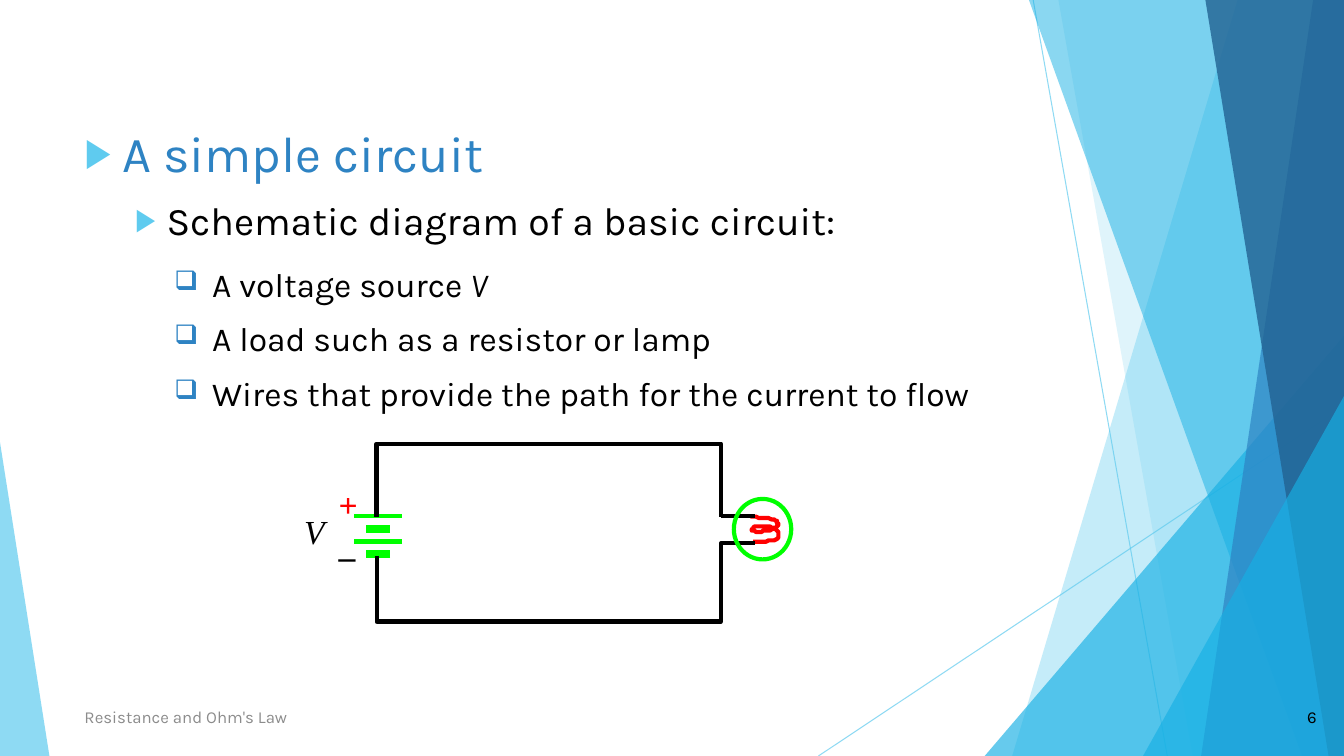
from lxml.etree import SubElement
from pptx import Presentation
from pptx.dml.color import RGBColor
from pptx.enum.shapes import MSO_CONNECTOR, MSO_SHAPE
from pptx.enum.text import MSO_ANCHOR, MSO_AUTO_SIZE, PP_ALIGN
from pptx.oxml.ns import qn
from pptx.util import Pt

COLORS = {
    "sky": "5FCBEF", "cyan": "17B0E4", "blue": "2E83C3", "navy": "226292",
    "black": "000000", "green": "00FF00", "red": "FF0000", "gray": "8C8C8C",
}


def paint(shape, fill=None, line=None, width=3, opacity=100):
    if line:
        shape.line.color.rgb = RGBColor.from_string(COLORS[line])
        shape.line.width = Pt(width)
    else:
        shape.line.fill.background()
    if fill:
        shape.fill.solid()
        shape.fill.fore_color.rgb = RGBColor.from_string(COLORS[fill])
    elif hasattr(shape, "fill"):
        shape.fill.background()
    properties = shape._element.spPr
    if opacity < 100:
        for color in properties.findall(".//" + qn("a:srgbClr")):
            SubElement(color, qn("a:alpha"), val=str(opacity * 1000))
    SubElement(properties, qn("a:effectLst"))


def write_text(para, text, size=24, color="black", font="Karla", bold=False, italic=False):
    span = para.add_run()
    span.text = text
    span.font.name = font
    span.font.size = Pt(size)
    span.font.bold = bold
    span.font.italic = italic
    span.font.color.rgb = RGBColor.from_string(COLORS[color])


deck = Presentation()
deck.slide_width, deck.slide_height = Pt(960), Pt(540)
page = deck.slides.add_slide(deck.slide_layouts[1])
shapes = page.shapes
title = shapes.title._element
title.getparent().remove(title)
body = page.placeholders[1]

for x1, y1, x2, y2 in [(738, 0, 833.8, 540), (960, 290.2, 584.6, 540)]:
    ray = shapes.add_connector(MSO_CONNECTOR.STRAIGHT, Pt(x1), Pt(y1), Pt(x2), Pt(y2))
    paint(ray, line="sky", width=0.75, opacity=70)

facets = [
    ("band", (884.2, 722.9), "sky", 36),
    ("band", (756, 851.8), "sky", 20),
    ("triangle", (703.4, 239.8, 256.6, 300.2, 1), "cyan", 66),
    ("band", (735.1, 929.5), "cyan", 50),
    ("band", (938.2, 858.2), "blue", 70),
    ("band", (861.1, 949), "navy", 80),
    ("triangle", (816.5, 283, 143.5, 257, 1), "cyan", 66),
    ("triangle", (0, 316, 35.3, 224, 0), "sky", 70),
]
for kind, place, color, opacity in facets:
    if kind == "band":
        top_x, bottom_x = place
        builder = shapes.build_freeform(top_x, 0, scale=Pt(1))
        builder.add_line_segments([(960, 0), (960, 540), (bottom_x, 540)])
        facet = builder.convert_to_shape()
    else:
        facet = shapes.add_shape(MSO_SHAPE.ISOSCELES_TRIANGLE, *[Pt(n) for n in place[:4]])
        facet.adjustments[0] = place[4]
    paint(facet, fill=color, opacity=opacity)

shapes._spTree.append(body._element)
body.left, body.top, body.width, body.height = Pt(53.3), Pt(83.5), Pt(794), Pt(95)
parts = shapes.add_textbox(Pt(117.4), Pt(185), Pt(674), Pt(142))
bullets = [
    (body, 0, "▶", "sky", 27, 27, 36, "blue", ["A simple circuit"]),
    (body, 1, "▶", "sky", 58.5, 22.5, 28, "black", ["Schematic diagram of a basic circuit:"]),
    (parts, 0, "❑", "blue", 27, 27, 24, "black", ["A voltage source ", "V"]),
    (parts, 0, "❑", "blue", 27, 27, 24, "black", ["A load such as a resistor or lamp"]),
    (parts, 0, "❑", "blue", 27, 27, 24, "black",
     ["Wires that provide the path for the current to flow"]),
]
for box, level, mark, mark_color, margin, hang, size, color, texts in bullets:
    frame = box.text_frame
    frame.word_wrap = True
    frame.auto_size = MSO_AUTO_SIZE.NONE
    frame.vertical_anchor = MSO_ANCHOR.TOP
    first = not frame.text
    para = frame.paragraphs[0] if first else frame.add_paragraph()
    para.level = level
    para.space_before = Pt(0 if first else 10)
    properties = para._p.get_or_add_pPr()
    properties.set("marL", str(Pt(margin)))
    properties.set("indent", str(-Pt(hang)))
    tint = SubElement(properties, qn("a:buClr"))
    SubElement(tint, qn("a:srgbClr"), val=COLORS[mark_color])
    SubElement(properties, qn("a:buSzPct"), val="80000")
    SubElement(properties, qn("a:buChar"), char=mark)
    for text in texts:
        write_text(para, text, size=size, color=color, italic=text == "V")

for row in range(4):
    half, width = (8.6, 6) if row % 2 else (17.3, 3)
    y = 368.6 + row * 9.1
    plate = shapes.add_connector(
        MSO_CONNECTOR.STRAIGHT, Pt(270 + half), Pt(y), Pt(270 - half), Pt(y))
    paint(plate, line="green", width=width)

coil = [(536.4, 368.6)]
curves = [
    ((542.2, 370.1), (548.6, 369.4), (554.4, 372.2)),
    ((555.1, 373), (555.8, 374.4), (555.8, 375.1)),
    ((554.4, 377.3), (550.8, 378.7), (547.2, 379.4)),
    ((544.3, 379.4), (540.7, 380.2), (537.1, 378.7)),
    ((535.7, 378.7), (538.6, 376.6), (540, 375.8)),
    ((549.4, 376.6), (550.1, 375.1), (555.1, 378.7)),
    ((555.8, 380.9), (557.3, 382.3), (555.8, 384.5)),
    ((553.7, 387.4), (539.3, 386.6), (537.8, 386.6)),
]
for bend1, bend2, end in curves:
    start = coil[-1]
    for step in range(1, 11):
        t = step / 10
        weights = ((1 - t) ** 3, 3 * t * (1 - t) ** 2, 3 * t * t * (1 - t), t ** 3)
        knots = (start, bend1, bend2, end)
        coil.append(tuple(sum(w * k[axis] for w, k in zip(weights, knots)) for axis in (0, 1)))

left_x, right_x, lamp_x, top_y, bottom_y = 269.3, 514.8, 539.3, 316.8, 444.2
wires = [
    ([(left_x, 368.6), (left_x, top_y), (421.9, top_y)], "black"),
    ([(421.9, top_y), (right_x, top_y), (right_x, 368.6)], "black"),
    (coil, "red"),
    ([(lamp_x, 388.1), (right_x, 388.1), (right_x, bottom_y), (left_x, bottom_y),
      (left_x, 397.4)], "black"),
]
for points, color in wires:
    builder = shapes.build_freeform(*points[0], scale=Pt(1))
    builder.add_line_segments(points[1:], close=False)
    paint(builder.convert_to_shape(), line=color)

lead = shapes.add_connector(
    MSO_CONNECTOR.STRAIGHT, Pt(right_x), Pt(368.6), Pt(lamp_x), Pt(368.6))
paint(lead, line="black")
bulb = shapes.add_shape(MSO_SHAPE.OVAL, Pt(524.2), Pt(356.4), Pt(41), Pt(43.2))
paint(bulb, line="green")

serif = "Times New Roman"
labels = [
    ((210.2, 361.4, 29.5, 36), False, MSO_ANCHOR.TOP, PP_ALIGN.LEFT,
     [("V", {"font": serif, "italic": True})]),
    ((234.7, 342, 28.1, 65.5), False, MSO_ANCHOR.TOP, PP_ALIGN.LEFT,
     [("+", {"font": serif, "bold": True, "color": "red"}),
      ("_", {"font": serif, "bold": True})]),
    ((893.5, 497.5, 54, 28.8), True, MSO_ANCHOR.MIDDLE, PP_ALIGN.RIGHT,
     [("6", {"size": 12})]),
    ((53.3, 497.5, 496, 28.8), True, MSO_ANCHOR.MIDDLE, PP_ALIGN.LEFT,
     [("Resistance and Ohm's Law", {"size": 12, "color": "gray"})]),
]
for place, wrap, anchor, align, lines in labels:
    frame = shapes.add_textbox(*[Pt(n) for n in place]).text_frame
    frame.word_wrap = wrap
    frame.vertical_anchor = anchor
    for index, (text, style) in enumerate(lines):
        para = frame.add_paragraph() if index else frame.paragraphs[0]
        para.alignment = align
        write_text(para, text, **style)

deck.save("out.pptx")
